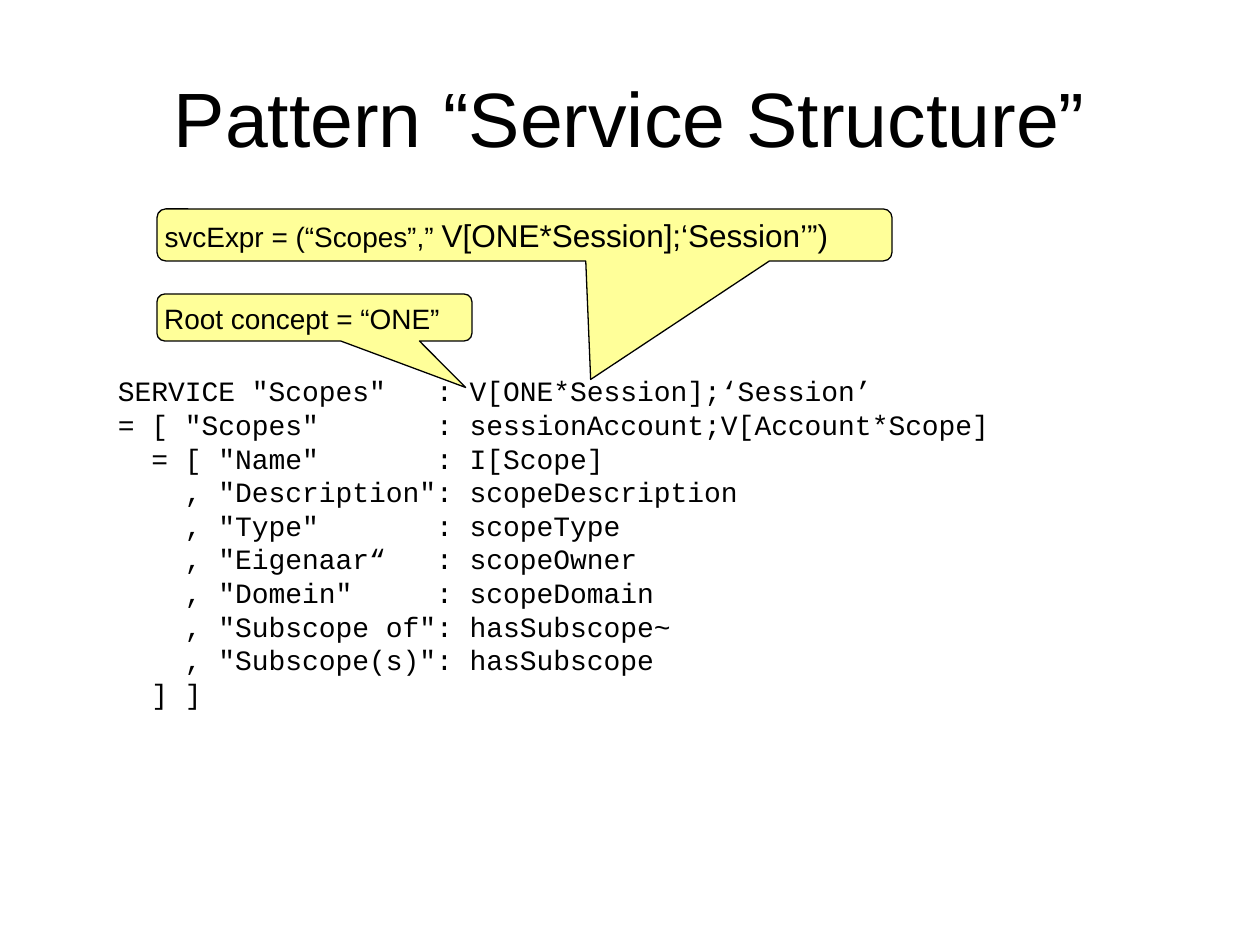
from dataclasses import dataclass

from pptx import Presentation
from pptx.dml.color import RGBColor as RGB
from pptx.enum.shapes import MSO_SHAPE as SHAPE
from pptx.enum.text import MSO_ANCHOR as ANCHOR, PP_ALIGN as ALIGN
from pptx.util import Pt

PX = 914400 / 126


@dataclass
class Theme:
    ink: RGB = RGB(0, 0, 0)
    note: RGB = RGB(0xFF, 0xFF, 0x99)
    sans: str = "Arial"
    mono: str = "Courier New"
    title: int = 44
    large: int = 18
    body: int = 16


theme = Theme()


def px(*lengths):
    return [round(n * PX) for n in lengths]


def write(s, lines, font, align=ALIGN.LEFT, anchor=ANCHOR.TOP, inset=(13, 6)):
    """Fill a shape with lines, each a list of (text, size) runs."""
    tf = s.text_frame
    dx, dy = px(*inset)
    frame = {"word_wrap": True, "vertical_anchor": anchor, "margin_left": dx,
             "margin_right": dx, "margin_top": dy, "margin_bottom": dy}
    for name, value in frame.items():
        setattr(tf, name, value)
    for i, runs in enumerate(lines):
        p = tf.paragraphs[0] if i == 0 else tf.add_paragraph()
        p.alignment = align
        for text, size in runs:
            r = p.add_run()
            r.text = text
            r.font.name = font
            r.font.size = Pt(size)
            r.font.color.rgb = theme.ink


prs = Presentation()
prs.slide_width, prs.slide_height = px(1260, 945)
slide = prs.slides.add_slide(prs.slide_layouts[6])

# Service definition: the colons line up in one column
fields = [
    ('SERVICE "Scopes"', "V[ONE*Session];‘Session’"),
    ('= [ "Scopes"', "sessionAccount;V[Account*Scope]"),
    ('  = [ "Name"', "I[Scope]"),
    ('    , "Description"', "scopeDescription"),
    ('    , "Type"', "scopeType"),
    ('    , "Eigenaar“', "scopeOwner"),
    ('    , "Domein"', "scopeDomain"),
    ('    , "Subscope of"', "hasSubscope~"),
    ('    , "Subscope(s)"', "hasSubscope"),
]
column = max(len(label) for label, _ in fields)
code = [f"{label:<{column}}: {expr}" for label, expr in fields] + ["  ] ]"]
sp = slide.shapes.add_textbox(*px(105, 368, 1071, 349))
write(sp, [[(line, theme.body)] for line in code], theme.mono)

# Title
sp = slide.shapes.add_textbox(*px(63, 38, 1134, 157))
write(sp, [[("Pattern “Service Structure”", theme.title)]], theme.sans,
      ALIGN.CENTER, ANCHOR.MIDDLE)

# Callouts: box, pointer tip relative to the box, runs
callouts = [
    ((157, 294, 315, 47), (0.48, 1.49),
     [("Root concept = “ONE”", theme.body)]),
    ((157, 209, 735, 52), (0.09, 2.78),
     [("svcExpr = (“Scopes”,” ", theme.body),
      ("V[ONE*Session];‘Session’”)", theme.large)]),
]
for box, tip, runs in callouts:
    s = slide.shapes.add_shape(SHAPE.ROUNDED_RECTANGULAR_CALLOUT, *px(*box))
    s.shadow.inherit = False
    s.adjustments[0], s.adjustments[1] = tip
    s.fill.solid()
    s.fill.fore_color.rgb = theme.note
    s.line.color.rgb = theme.ink
    s.line.width = Pt(0.75)
    write(s, [runs], theme.sans, inset=(5, 5))

prs.save("out.pptx")
